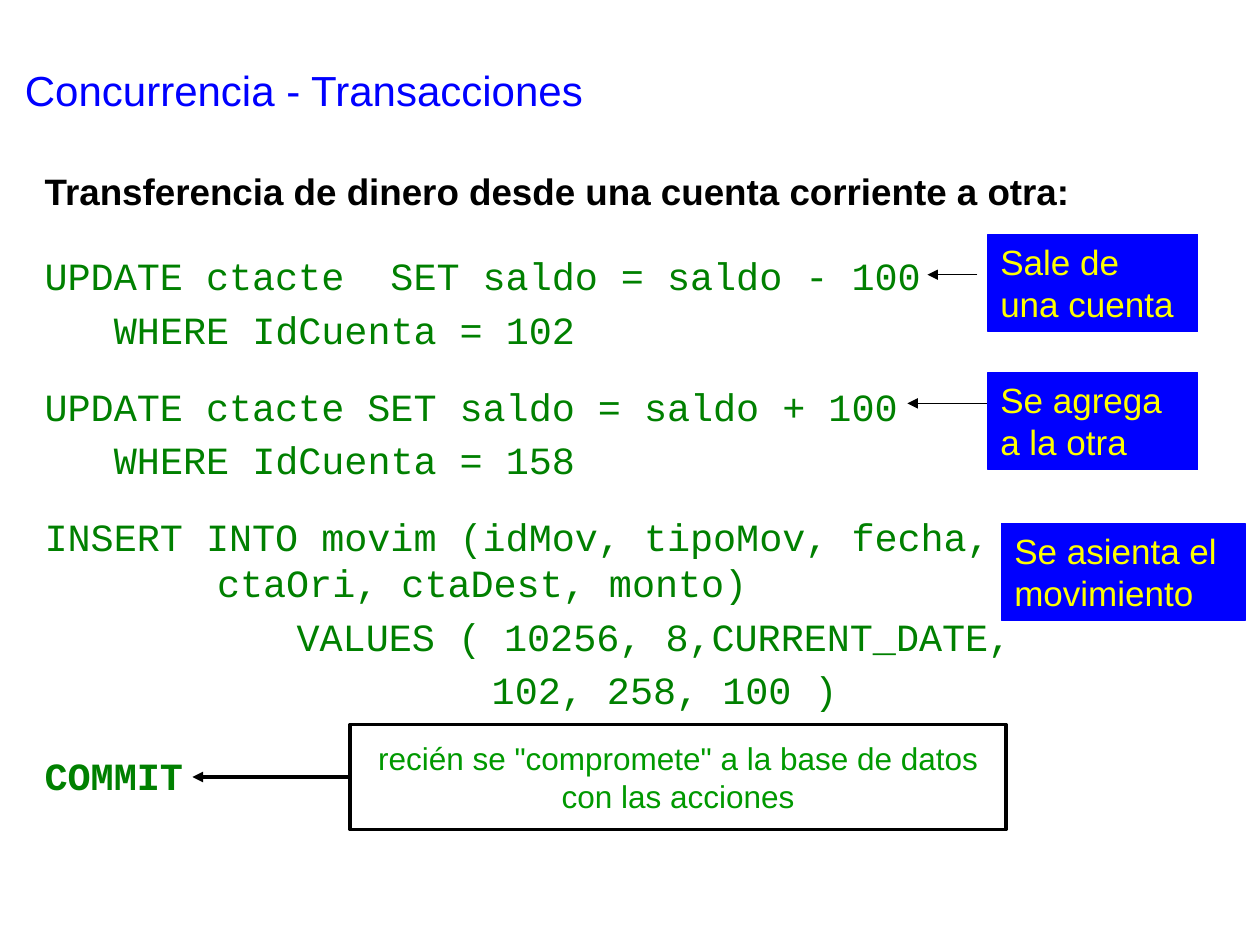
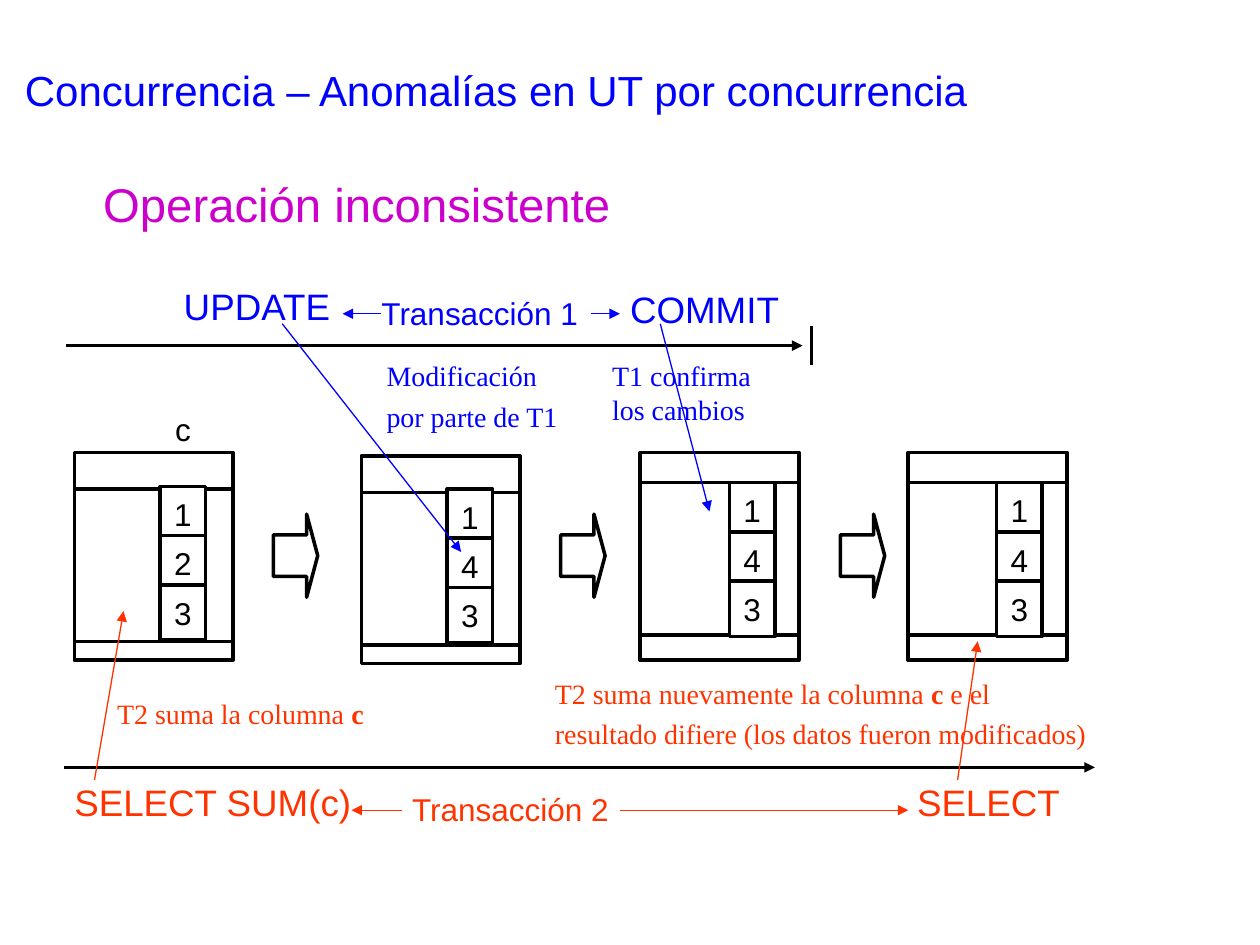
from pptx import Presentation
from pptx.util import Pt
from pptx.dml.color import RGBColor
from pptx.enum.shapes import MSO_SHAPE as Geo, MSO_CONNECTOR as Conn
from pptx.enum.text import PP_ALIGN as Align, MSO_ANCHOR as Anchor, MSO_AUTO_SIZE as Auto
from pptx.oxml.ns import qn
from lxml.etree import SubElement

BLACK, WHITE, BLUE, YELLOW = "000000", "FFFFFF", "0000FF", "FFFF00"
CODE, GREEN, RED, PINK = "008000", "009900", "FF3300", "CC00CC"
SANS, MONO, SERIF = "Arial", "Courier New", "Times New Roman"
THIN, THICK = 0.75, 2
PAD = (7.2, 3.6)


def rgb(code):
    return RGBColor.from_string(code)


def style(par, size, color, font=SANS, bold=False):
    for run in par.runs:
        face = run.font
        face.size, face.name, face.bold = Pt(size), font, bold
        face.color.rgb = rgb(color)


def place(shape, box):
    shape.left, shape.top, shape.width, shape.height = map(Pt, box)


def set_frame(frame, pad=(0, 0), anchor=Anchor.TOP, wrap=True):
    frame.margin_left = frame.margin_right = Pt(pad[0])
    frame.margin_top = frame.margin_bottom = Pt(pad[1])
    frame.vertical_anchor = anchor
    frame.word_wrap = wrap
    frame.auto_size = Auto.NONE


def add_title(slide, text):
    title = slide.shapes.title
    place(title, (7, 33, 701, 36))
    frame = title.text_frame
    set_frame(frame, PAD)
    frame.text = text
    par = frame.paragraphs[0]
    par.alignment = Align.LEFT
    style(par, 24, BLUE)


def add_label(slide, box, text, size, color):
    label = slide.shapes.add_textbox(*map(Pt, box))
    frame = label.text_frame
    set_frame(frame, anchor=Anchor.MIDDLE, wrap=False)
    frame.text = text
    style(frame.paragraphs[0], size, color)


def add_remark(slide, box, lines, color, wrap=False):
    """Add serif lines; parts between asterisks are bold."""
    frame = slide.shapes.add_textbox(*map(Pt, box)).text_frame
    set_frame(frame, PAD, wrap=wrap)
    for i, line in enumerate(lines):
        par = frame.add_paragraph() if i else frame.paragraphs[0]
        par.space_before = Pt(4)
        for part in line.split("*"):
            par.add_run().text = part
        style(par, 16, color, SERIF)
        for run in par.runs[1::2]:
            run.font.bold = True


def add_shape(slide, box, fill=None, line=BLACK, width=THICK, geo=Geo.RECTANGLE):
    shape = slide.shapes.add_shape(geo, *map(Pt, box))
    shape.shadow.inherit = False
    if fill:
        shape.fill.solid()
        shape.fill.fore_color.rgb = rgb(fill)
    else:
        shape.fill.background()
    shape.line.color.rgb = rgb(line)
    shape.line.width = Pt(width)
    return shape


def add_card(slide, box, text, color):
    card = add_shape(slide, box, WHITE)
    set_frame(card.text_frame, anchor=Anchor.MIDDLE)
    card.text_frame.text = text
    par = card.text_frame.paragraphs[0]
    par.alignment = Align.CENTER
    style(par, 18, color)
    return card


def add_note(slide, box, text):
    note = add_shape(slide, box, BLUE, BLUE, THIN)
    set_frame(note.text_frame, PAD)
    note.text_frame.text = text
    par = note.text_frame.paragraphs[0]
    par.alignment = Align.LEFT
    style(par, 20, YELLOW)


def add_line(slide, ends, color=BLACK, width=THIN, head=True):
    line = slide.shapes.add_connector(Conn.STRAIGHT, *map(Pt, ends))
    line.line.color.rgb = rgb(color)
    line.line.width = Pt(width)
    props = line._element.spPr
    if head:
        SubElement(props.find(qn("a:ln")), qn("a:tailEnd"), type="triangle")
    SubElement(props, qn("a:effectLst"))
    return line


def add_code(slide, box):
    body = slide.placeholders[1]
    place(body, box)
    frame = body.text_frame
    set_frame(frame)
    # text, left margin, first-line shift, space before
    rows = [
        ("Transferencia de dinero desde una cuenta corriente a otra:", 0, 0, 0),
        ("UPDATE ctacte  SET saldo = saldo - 100", 0, 0, 18.5),
        ("WHERE IdCuenta = 102", 39.6, 0, 0),
        ("UPDATE ctacte SET saldo = saldo + 100", 0, 0, 13.5),
        ("WHERE IdCuenta = 158", 39.6, 0, 0),
        ("INSERT INTO movim (idMov, tipoMov, fecha,\vctaOri, ctaDest, monto)", 98.5, -98.5, 13.5),
        ("VALUES ( 10256, 8,CURRENT_DATE,", 144, 0, 0),
        ("102, 258, 100 )", 255.5, 0, 0),
        ("COMMIT", 0, 0, 19),
    ]
    frame.text = "\n".join(row[0] for row in rows)
    for par, (text, left, shift, before) in zip(frame.paragraphs, rows):
        par.space_before, par.space_after = Pt(before), Pt(4.1)
        props = par._p.get_or_add_pPr()
        props.set("marL", str(Pt(left)))
        props.set("indent", str(Pt(shift)))
        style(par, 22, CODE, MONO, text == "COMMIT")
        SubElement(props, qn("a:buNone"))
    style(frame.paragraphs[0], 21, BLACK, SANS, True)


def add_grid(slide, x, y, band, dx, dy, values):
    """Draw a table sketch whose column c holds the values."""
    add_shape(slide, (x, y, 90.7, 118.8))
    add_shape(slide, (x, y + band, 90.7, 87.1))
    for i, value in enumerate(values):
        add_card(slide, (x + dx, y + dy + i * 28.1, 26, 31.7), value, BLACK)


def build_transfer(deck):
    slide = deck.slides.add_slide(deck.slide_layouts[1])
    add_title(slide, "Concurrencia - Transacciones")
    add_code(slide, (25.5, 96.5, 638.5, 362))
    card = add_card(slide, (200, 414, 375, 60),
                    'recién se "compromete" a la base de datos con las acciones', GREEN)
    add_line(slide, (200, 444, 110, 444), width=THICK).begin_connect(card, 1)
    for x, y, width, text in [
        (564.5, 134, 120, "Sale de una cuenta"),
        (564.5, 213, 120, "Se agrega a la otra"),
        (572.5, 299, 139, "Se asienta el movimiento"),
    ]:
        add_note(slide, (x, y, width, 55.5), text)
    add_line(slide, (558.5, 157, 530, 157))
    add_line(slide, (564, 230.5, 518.5, 230.5))


def build_anomaly(deck):
    slide = deck.slides.add_slide(deck.slide_layouts[5])
    add_title(slide, "Concurrencia – Anomalías en UT por concurrencia")
    for box, text, size, color in [
        ((59, 100, 289.5, 32.5), "Operación inconsistente", 27, PINK),
        ((218, 168, 113, 21.5), "Transacción 1", 18, BLUE),
        ((235.5, 451.5, 113, 21.5), "Transacción 2", 18, RED),
        ((105, 162, 85, 25), "UPDATE", 21, BLUE),
        ((360, 164, 85, 25), "COMMIT", 21, BLUE),
        ((42.5, 445.5, 158.5, 25), "SELECT SUM(c)", 21, RED),
        ((524, 445.5, 82, 25), "SELECT", 21, RED),
        ((100, 234.5, 10, 21.5), "c", 18, BLACK),
    ]:
        add_label(slide, box, text, size, color)

    for grid in [
        (42.5, 258.5, 21, 49, 19.5, "123"),
        (206.5, 260.5, 21, 49, 19, "143"),
        (365.8, 258.5, 17.3, 51, 17.3, "143"),
        (519, 258.5, 17.3, 50.5, 17.3, "143"),
    ]:
        add_grid(slide, *grid)
    for x in (156.2, 320.4, 480.2):
        step = add_shape(slide, (x, 293.8, 25.4, 47.5), WHITE, geo=Geo.RIGHT_ARROW)
        step.adjustments[0], step.adjustments[1] = 0.5, 0.25

    add_remark(slide, (213.8, 201.6, 112.5, 49.7), ["Modificación", "por parte de T1"], BLUE)
    add_remark(slide, (342.7, 201.6, 113.8, 46), ["T1 confirma los cambios"], BLUE, True)
    add_remark(slide, (59.8, 394.5, 155.5, 26.6), ["T2 suma la columna *c"], RED)
    add_remark(slide, (310, 383, 317.5, 49.7),
               ["T2 suma nuevamente la columna *c* e el",
                "resultado difiere (los datos fueron modificados)"], RED)

    add_line(slide, (463.7, 208.8, 463.7, 186.5), width=THICK, head=False)
    for ends in [(38, 197.5, 458.6, 197.5), (36.7, 438.5, 625.7, 438.5)]:
        add_line(slide, ends, width=THICK)
    for color, group in [
        (BLUE, [(218, 179.3, 195.8, 179.3), (337.7, 179.3, 354.2, 179.3),
                (161.3, 185, 263.5, 315.4), (377.3, 185, 405.4, 292.3)]),
        (RED, [(229.7, 463, 200.9, 463), (354.2, 463, 519, 463),
               (54, 445.7, 70.6, 349.2), (547.2, 445.7, 558.7, 366.5)]),
    ]:
        for ends in group:
            add_line(slide, ends, color)


def main():
    deck = Presentation()
    deck.slide_width, deck.slide_height = Pt(720), Pt(540)
    build_transfer(deck)
    build_anomaly(deck)
    deck.save("out.pptx")


if __name__ == "__main__":
    main()
